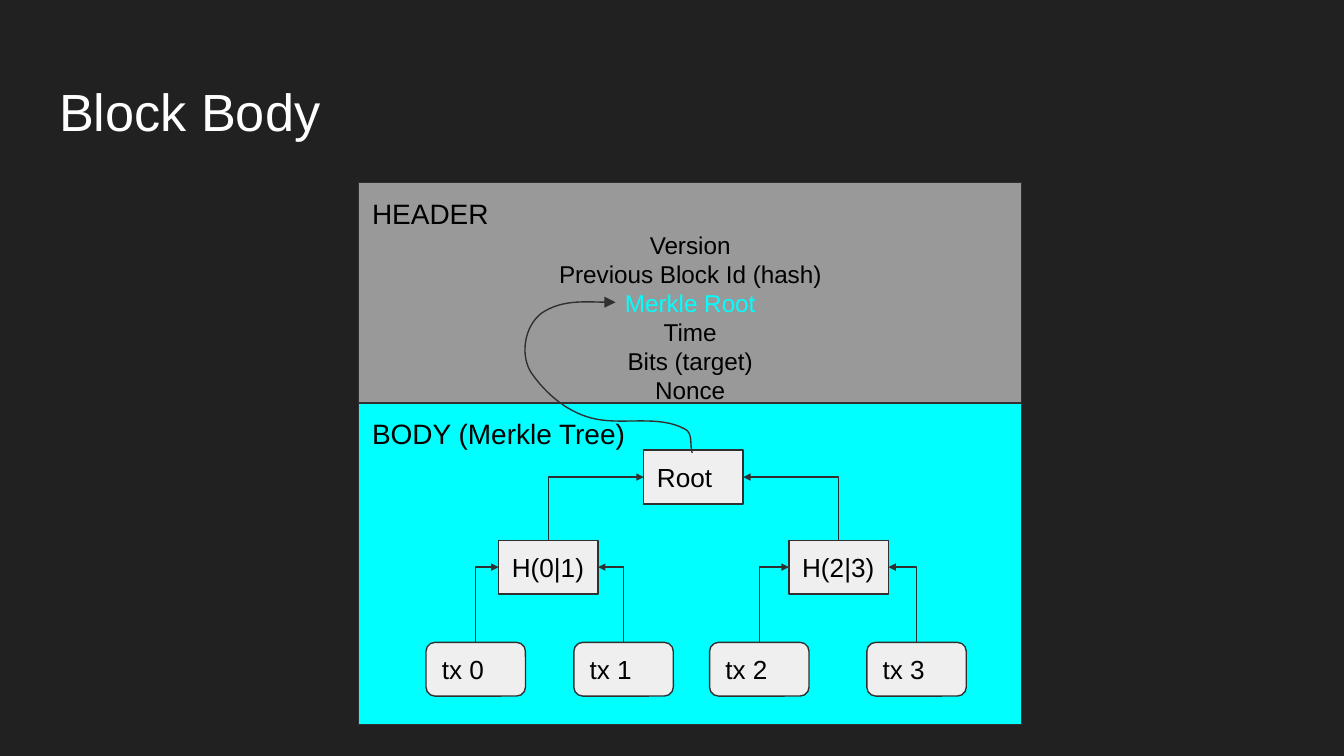
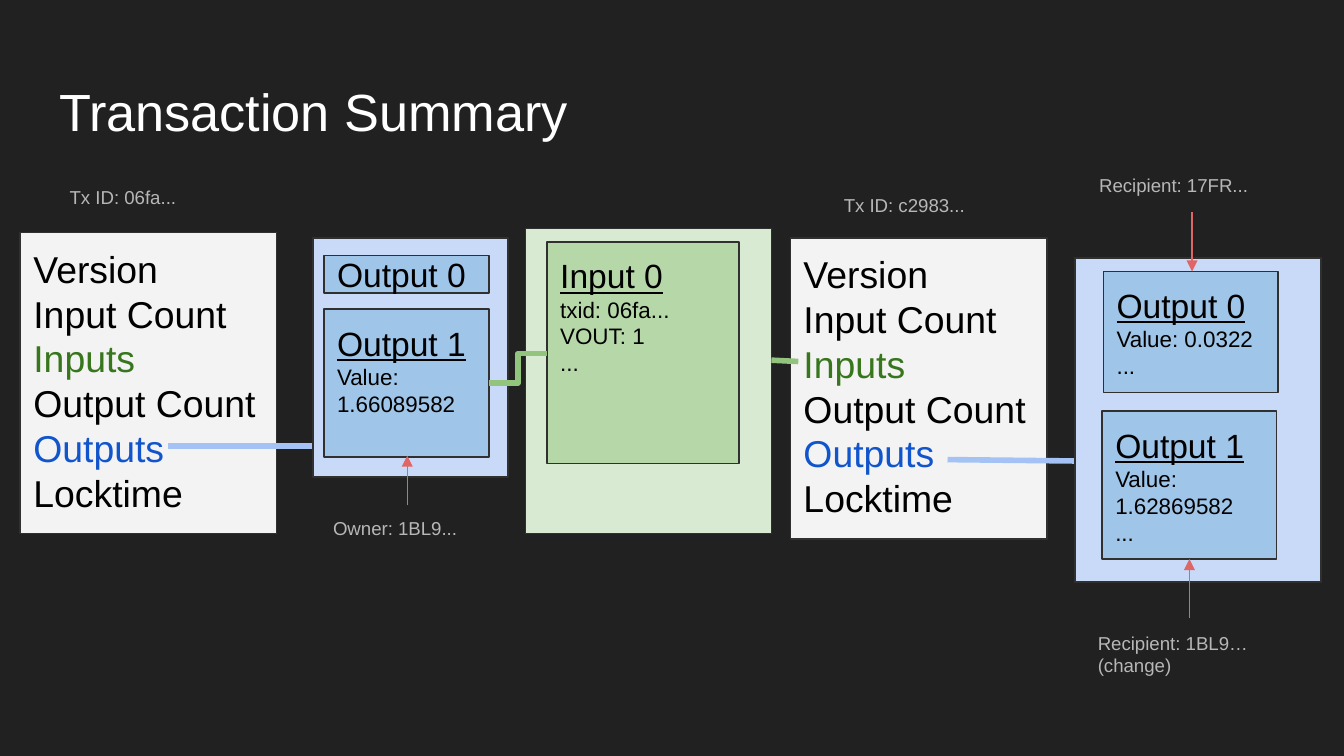
from dataclasses import dataclass

from lxml import etree
from pptx import Presentation
from pptx.dml.color import RGBColor
from pptx.enum.shapes import MSO_CONNECTOR, MSO_SHAPE
from pptx.enum.text import MSO_ANCHOR, MSO_AUTO_SIZE, PP_ALIGN
from pptx.oxml.ns import qn
from pptx.util import Pt

PX = 9144
FONT = "Arial"

RECT, ROUNDED = MSO_SHAPE.RECTANGLE, MSO_SHAPE.ROUNDED_RECTANGLE
STRAIGHT, ELBOW = MSO_CONNECTOR.STRAIGHT, MSO_CONNECTOR.ELBOW
TOP, MIDDLE = MSO_ANCHOR.TOP, MSO_ANCHOR.MIDDLE
LEFT, CENTER = PP_ALIGN.LEFT, PP_ALIGN.CENTER
FIXED, GROW = MSO_AUTO_SIZE.NONE, MSO_AUTO_SIZE.SHAPE_TO_FIT_TEXT

BACKGROUND = RGBColor(0x21, 0x21, 0x21)
WHITE = RGBColor(0xFF, 0xFF, 0xFF)
BLACK = RGBColor(0x00, 0x00, 0x00)
OUTLINE = RGBColor(0x30, 0x30, 0x30)
CYAN = RGBColor(0x00, 0xFF, 0xFF)
HEADER_GREY = RGBColor(0x99, 0x99, 0x99)
NODE_GREY = RGBColor(0xEF, 0xEF, 0xEF)
CARD_GREY = RGBColor(0xF3, 0xF3, 0xF3)
LABEL_GREY = RGBColor(0xB7, 0xB7, 0xB7)
PALE_BLUE = RGBColor(0xC9, 0xDA, 0xF8)
MID_BLUE = RGBColor(0x9F, 0xC5, 0xE8)
LINK_BLUE = RGBColor(0xA4, 0xC2, 0xF4)
TEXT_BLUE = RGBColor(0x11, 0x55, 0xCC)
PALE_GREEN = RGBColor(0xD9, 0xEA, 0xD3)
MID_GREEN = RGBColor(0xB6, 0xD7, 0xA8)
LINK_GREEN = RGBColor(0x93, 0xC4, 0x7D)
TEXT_GREEN = RGBColor(0x38, 0x76, 0x1D)
RED = RGBColor(0xE0, 0x66, 0x66)


@dataclass
class Line:
    """One paragraph and its look."""
    text: str
    size: int
    color: RGBColor = BLACK
    underline: bool = False
    align: PP_ALIGN = LEFT


def emu(*lengths):
    """Turn px into EMU."""
    return [length * PX for length in lengths]


def write(shape, lines, anchor=TOP, fit=FIXED):
    """Fill a shape's text frame with lines."""
    tf = shape.text_frame
    tf.word_wrap = True
    tf.auto_size = fit
    tf.vertical_anchor = anchor
    tf.margin_left = tf.margin_right = tf.margin_top = tf.margin_bottom = 10 * PX
    for i, line in enumerate(lines):
        p = tf.add_paragraph() if i else tf.paragraphs[0]
        p.text = line.text
        p.alignment = line.align
        p.font.name = FONT
        p.font.size = Pt(line.size)
        p.font.color.rgb = line.color
        p.font.underline = line.underline


def add_box(s, box, fill, lines=(), anchor=TOP, kind=RECT):
    """Draw an outlined box with text."""
    sp = s.shapes.add_shape(kind, *emu(*box))
    sp.shadow.inherit = False
    sp.fill.solid()
    sp.fill.fore_color.rgb = fill
    sp.line.color.rgb = OUTLINE
    sp.line.width = Pt(0.75)
    if lines:
        write(sp, lines, anchor)
    return sp


def add_label(s, box, *texts):
    """Write a small grey caption."""
    label = s.shapes.add_textbox(*emu(*box))
    write(label, [Line(text, 10, LABEL_GREY) for text in texts], fit=GROW)


def add_arrowhead(shape, end, size="med"):
    """Put a triangle on the headEnd or tailEnd of a line."""
    ln = shape.line._get_or_add_ln()
    etree.SubElement(ln, qn(f"a:{end}"), type="triangle", w=size, len=size)


def add_link(s, ends, color, width, kind=STRAIGHT):
    """Draw a flat connector between two points."""
    link = s.shapes.add_connector(kind, *emu(*ends))
    link.line.color.rgb = color
    link.line.width = Pt(width)
    etree.SubElement(link._element.spPr, qn("a:effectLst"))
    return link


def add_title_slide(prs, title):
    """Add a slide with the shared title style."""
    s = prs.slides.add_slide(prs.slide_layouts[5])
    holder = s.shapes.title
    holder.left, holder.top, holder.width, holder.height = emu(34, 49, 932, 63)
    write(holder, [Line(title, 28, WHITE)])
    return s


def add_header(s, box):
    """Draw the block header with its fields."""
    fields = ["Version", "Previous Block Id (hash)", "Merkle Root", "Time",
              "Bits (target)", "Nonce"]
    lines = [Line("HEADER", 15)]
    for field in fields:
        color = CYAN if field == "Merkle Root" else BLACK
        lines.append(Line(field, 13, color, align=CENTER))
    add_box(s, box, HEADER_GREY, lines)


def join_nodes(s, parent, child, side):
    """Run an elbow from a child's top to a side of its parent."""
    link = add_link(s, (0, 0, 0, 0), OUTLINE, 0.75, ELBOW)
    link.begin_connect(parent, side)
    link.end_connect(child, 0)
    link._element.spPr.find(qn("a:prstGeom")).set("prst", "bentConnector2")
    add_arrowhead(link, "headEnd", "sm")


def add_merkle_tree(s, box):
    """Draw the block body and its hash tree."""
    x, y, _, _ = box
    add_box(s, box, CYAN, [Line("BODY (Merkle Tree)", 15)])

    def node(text, dx, dy, kind=RECT):
        return add_box(s, (x + dx, y + dy, 74, 40), NODE_GREY,
                       [Line(text, 14)], MIDDLE, kind)

    leaves = [node(f"tx {i}", dx, 178, ROUNDED)
              for i, dx in enumerate((50, 160, 261, 378))]
    hashes = [node("H(0|1)", 104, 102), node("H(2|3)", 320, 102)]
    root = node("Root", 212, 35)
    left_side, right_side = 1, 3
    for parent, (left, right) in ((hashes[0], leaves[:2]),
                                  (hashes[1], leaves[2:]), (root, hashes)):
        join_nodes(s, parent, left, left_side)
        join_nodes(s, parent, right, right_side)


def add_root_curve(s, x, y):
    """Draw the curved arrow from the root up to the header field."""
    controls = [(-2, -6), (1, -15), (-6, -18), (-25, -28), (-50, -21), (-71, -25),
                (-92, -29), (-109, -44), (-120, -60), (-128, -73), (-125, -94),
                (-112, -104), (-97, -114), (-75, -112), (-57, -112)]
    builder = s.shapes.build_freeform(x, y, scale=PX)
    builder.add_line_segments([(x + dx, y + dy) for dx, dy in controls], close=False)
    curve = builder.convert_to_shape()
    outline = next(curve._element.iter(qn("a:path")))
    segments = outline.findall(qn("a:lnTo"))
    for i in range(0, len(segments), 3):
        bezier = etree.SubElement(outline, qn("a:cubicBezTo"))
        for segment in segments[i:i + 3]:
            bezier.append(segment[0])
            outline.remove(segment)
    curve.shadow.inherit = False
    curve.fill.background()
    curve.line.color.rgb = OUTLINE
    curve.line.width = Pt(0.75)
    add_arrowhead(curve, "tailEnd")


def add_transaction(s, x, y):
    """Draw the field list of one transaction."""
    accents = {"Inputs": TEXT_GREEN, "Outputs": TEXT_BLUE}
    fields = ["Version", "Input Count", "Inputs", "Output Count", "Outputs", "Locktime"]
    add_box(s, (x, y, 191, 224), CARD_GREY,
            [Line(field, 20, accents.get(field, BLACK)) for field in fields])


def add_panel(s, box, fill, card_fill, cards):
    """Draw a panel holding cards, each a heading with details."""
    x, y, _, _ = box
    add_box(s, box, fill)
    for (dx, dy, w, h), heading, *details in cards:
        lines = [Line(heading, 18, underline=bool(details))]
        lines += [Line(detail, 12) for detail in details]
        add_box(s, (x + dx, y + dy, w, h), card_fill, lines,
                TOP if details else MIDDLE)


def build_block_body(prs):
    """Build the slide on the block body."""
    s = add_title_slide(prs, "Block Body")
    add_merkle_tree(s, (267, 300, 493, 239))
    add_header(s, (267, 136, 493, 164))
    add_root_curve(s, 515, 337)


def build_transaction_summary(prs):
    """Build the slide that chains two transactions."""
    s = add_title_slide(prs, "Transaction Summary")
    add_transaction(s, 15, 173)
    add_transaction(s, 588, 177)
    add_panel(s, (233, 177, 145, 178), PALE_BLUE, MID_BLUE, [
        ((8, 13, 123, 28), "Output 0"),
        ((8, 53, 123, 110), "Output 1", "Value: 1.66089582")])
    add_panel(s, (391, 170, 183, 227), PALE_GREEN, MID_GREEN, [
        ((16, 10, 143, 165), "Input 0", "txid: 06fa...", "VOUT: 1", "...")])
    add_panel(s, (800, 192, 183, 241), PALE_BLUE, MID_BLUE, [
        ((21, 10, 130, 90), "Output 0", "Value: 0.0322", "..."),
        ((20, 114, 130, 110), "Output 1", "Value: 1.62869582", "...")])

    add_link(s, (125, 332, 232, 332), LINK_BLUE, 3)
    add_link(s, (705, 342, 799, 343), LINK_BLUE, 3)
    add_link(s, (594, 269, 574, 268), LINK_GREEN, 3)
    add_link(s, (407, 263, 364, 285), LINK_GREEN, 3, ELBOW)
    for ends in ((303, 376, 303, 339), (887, 158, 887, 202), (885, 460, 885, 416)):
        add_arrowhead(add_link(s, ends, RED, 0.75), "tailEnd")

    add_label(s, (42, 130, 130, 37), "Tx ID: 06fa...")
    add_label(s, (618, 136, 130, 37), "Tx ID: c2983...")
    add_label(s, (238, 376, 130, 37), "Owner: 1BL9...")
    add_label(s, (808, 121, 157, 37), "Recipient: 17FR...")
    add_label(s, (807, 460, 157, 54), "Recipient: 1BL9…", "(change)")


def main():
    """Build and save the presentation."""
    prs = Presentation()
    prs.slide_width = 1000 * PX
    prs.slide_height = prs.slide_width * 9 // 16
    fill = prs.slide_master.background.fill
    fill.solid()
    fill.fore_color.rgb = BACKGROUND
    build_block_body(prs)
    build_transaction_summary(prs)
    prs.save("out.pptx")


if __name__ == "__main__":
    main()
